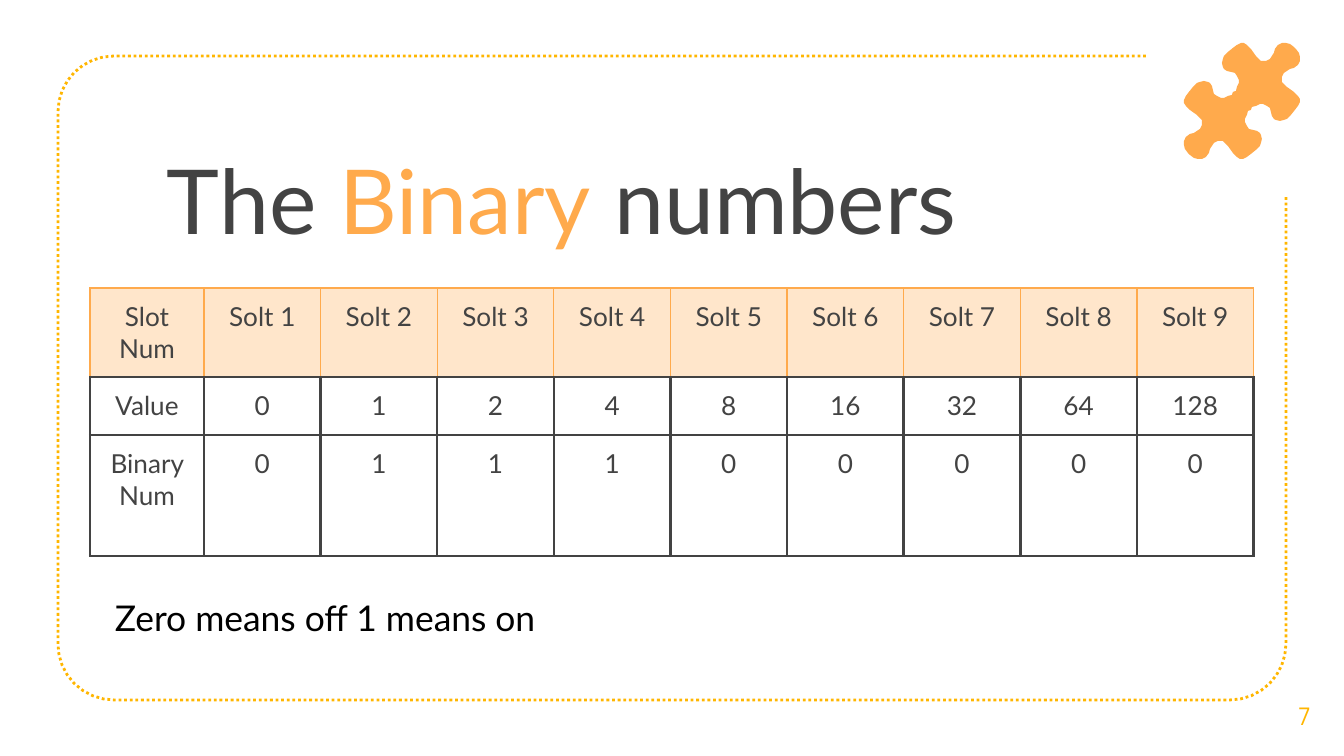
import math

from lxml import etree
from pptx import Presentation
from pptx.dml.color import RGBColor
from pptx.enum.dml import MSO_LINE
from pptx.enum.text import MSO_ANCHOR, PP_ALIGN
from pptx.oxml.ns import qn
from pptx.util import Emu, Pt

EMU_PER_PX = 914400 / 134.4
SLIDE_WIDTH, SLIDE_HEIGHT = 1344, 756
INSET = 13

WHITE = RGBColor(0xFF, 0xFF, 0xFF)
BLACK = RGBColor(0x00, 0x00, 0x00)
DARK = RGBColor(0x43, 0x43, 0x43)
ORANGE = RGBColor(0xFF, 0xAA, 0x4C)
YELLOW = RGBColor(0xFF, 0xB6, 0x00)

LEFT, CENTER = PP_ALIGN.LEFT, PP_ALIGN.CENTER
TOP, MIDDLE = MSO_ANCHOR.TOP, MSO_ANCHOR.MIDDLE
DOTTED = MSO_LINE.ROUND_DOT

ROWS = [
    ["Slot Num"] + [f"Solt {slot}" for slot in range(1, 10)],
    ["Value", "0"] + [str(2 ** power) for power in range(8)],
    ["Binary Num"] + list("011100000"),
]
ROW_HEIGHTS = [89, 58, 121]
LABEL_WIDTH, SLOTS_WIDTH = 114, 1050

# A quarter of the puzzle outline, from the middle of a notch to the tip of a knob
PUZZLE_QUARTER = [
    (-9, -9), (-6, -10), (-5, -14), (-3, -18), (-3, -21), (-5, -25), (-7, -28),
    (-11, -29), (-15, -30), (-18, -32), (-19, -34), (-20, -38), (-19, -42),
    (-18, -45), (-14, -49), (-9, -53), (-5, -56), (-1, -58), (2, -58), (5, -56),
    (9, -52), (14, -45), (17, -42), (19, -40), (24, -40), (28, -42), (30, -45),
    (32, -48), (33, -52), (36, -56), (40, -58), (44, -58), (48, -57), (52, -54),
    (53, -53),
]


def px(length):
    return Emu(round(length * EMU_PER_PX))


def write_text(frame, runs, *, size, font="Lato", align=LEFT):
    """Write (text, colour) runs as the only paragraph of a frame."""
    paragraph = frame.paragraphs[0]
    paragraph.alignment = align
    for text, color in runs:
        run = paragraph.add_run()
        run.text = text
        run.font.size = Pt(size)
        run.font.name = font
        run.font.color.rgb = color


def set_margins(holder, left=INSET):
    holder.margin_left = px(left)
    holder.margin_right = holder.margin_top = holder.margin_bottom = px(INSET)


def add_text_box(slide, box, runs, *, anchor=TOP, left_inset=INSET, **text_format):
    frame = slide.shapes.add_textbox(*map(px, box)).text_frame
    frame.word_wrap = True
    frame.vertical_anchor = anchor
    set_margins(frame, left_inset)
    write_text(frame, runs, **text_format)


def add_outline(slide, points, *, closed):
    start, *rest = [(px(x), px(y)) for x, y in points]
    builder = slide.shapes.build_freeform(*start)
    builder.add_line_segments(rest, close=closed)
    outline = builder.convert_to_shape()
    outline.shadow.inherit = False
    return outline


def corner(center_x, center_y, radius, start_degrees):
    """Points of a quarter circle, turning anticlockwise on the slide."""
    angles = [math.radians(start_degrees - 90 * step / 8) for step in range(9)]
    return [(center_x + radius * math.cos(a), center_y + radius * math.sin(a))
            for a in angles]


def add_frame(slide):
    left, top, right, bottom, radius = 58, 56, 1286, 700, 56
    points = [(1146, top)]
    points += corner(left + radius, top + radius, radius, 270)
    points += corner(left + radius, bottom - radius, radius, 180)
    points += corner(right - radius, bottom - radius, radius, 90)
    points.append((right, 196))
    frame = add_outline(slide, points, closed=False)
    frame.fill.background()
    frame.line.color.rgb = YELLOW
    frame.line.width = Pt(1.5)
    frame.line.dash_style = DOTTED


def add_puzzle_piece(slide, center_x, center_y):
    # Mirror the quarter in the knob axis, then turn that half around the centre
    half = PUZZLE_QUARTER + [(-y, -x) for x, y in reversed(PUZZLE_QUARTER)]
    whole = half + [(-x, -y) for x, y in half]
    piece = add_outline(
        slide, [(center_x + x, center_y + y) for x, y in whole], closed=True)
    piece.fill.solid()
    piece.fill.fore_color.rgb = ORANGE
    piece.line.fill.background()


def set_borders(cell, borders):
    """Draw (side, colour, points) borders, given in the order L, R, T, B."""
    properties = cell._tc.get_or_add_tcPr()
    for index, (side, color, width) in enumerate(borders):
        line = etree.Element(qn(f"a:ln{side}"), w=str(Pt(width)))
        fill = etree.SubElement(line, qn("a:solidFill"))
        etree.SubElement(fill, qn("a:srgbClr"), val=str(color))
        properties.insert(index, line)


def fill_cell(cell, color, opacity=100):
    cell.fill.solid()
    cell.fill.fore_color.rgb = color
    if opacity < 100:
        tint = cell._tc.tcPr.find(f"{qn('a:solidFill')}/{qn('a:srgbClr')}")
        etree.SubElement(tint, qn("a:alpha"), val=str(opacity * 1000))


def add_binary_table(slide, left, top):
    table = slide.shapes.add_table(
        len(ROWS), len(ROWS[0]), px(left), px(top),
        px(LABEL_WIDTH + SLOTS_WIDTH), px(sum(ROW_HEIGHTS))).table
    table.first_row = table.horz_banding = False
    for index, column in enumerate(table.columns):
        column.width = px(SLOTS_WIDTH / 9) if index else px(LABEL_WIDTH)
    body_borders = [(side, DARK, 1.5) for side in "LRTB"]
    header_borders = [(side, ORANGE, 0.75) for side in "LRT"] + body_borders[3:]
    for row_index, values in enumerate(ROWS):
        table.rows[row_index].height = px(ROW_HEIGHTS[row_index])
        for column_index, value in enumerate(values):
            cell = table.cell(row_index, column_index)
            set_margins(cell)
            write_text(cell.text_frame, [(value, DARK)], size=14, align=CENTER)
            if row_index == 0:
                fill_cell(cell, ORANGE, opacity=29)
                set_borders(cell, header_borders)
            else:
                fill_cell(cell, WHITE)
                set_borders(cell, body_borders)


def main():
    deck = Presentation()
    deck.slide_width, deck.slide_height = px(SLIDE_WIDTH), px(SLIDE_HEIGHT)
    slide = deck.slides.add_slide(deck.slide_layouts[6])

    # Dotted frame, title and page number
    add_frame(slide)
    add_text_box(slide, (136, 132, 1009, 183),
                 [("The ", DARK), ("Binary", ORANGE), (" numbers", DARK)],
                 size=48, left_inset=31)
    add_text_box(slide, (1265, 675, 79, 81), [("7", YELLOW)],
                 size=13, font="Manrope", align=CENTER, anchor=MIDDLE)

    # Puzzle piece in the open corner of the frame
    add_puzzle_piece(slide, 1242, 101)

    # Slot values and their caption
    add_binary_table(slide, 90, 288)
    add_text_box(slide, (102, 583, 801, 70),
                 [("Zero means off 1 means on", BLACK)], size=19)

    deck.save("out.pptx")


if __name__ == "__main__":
    main()
